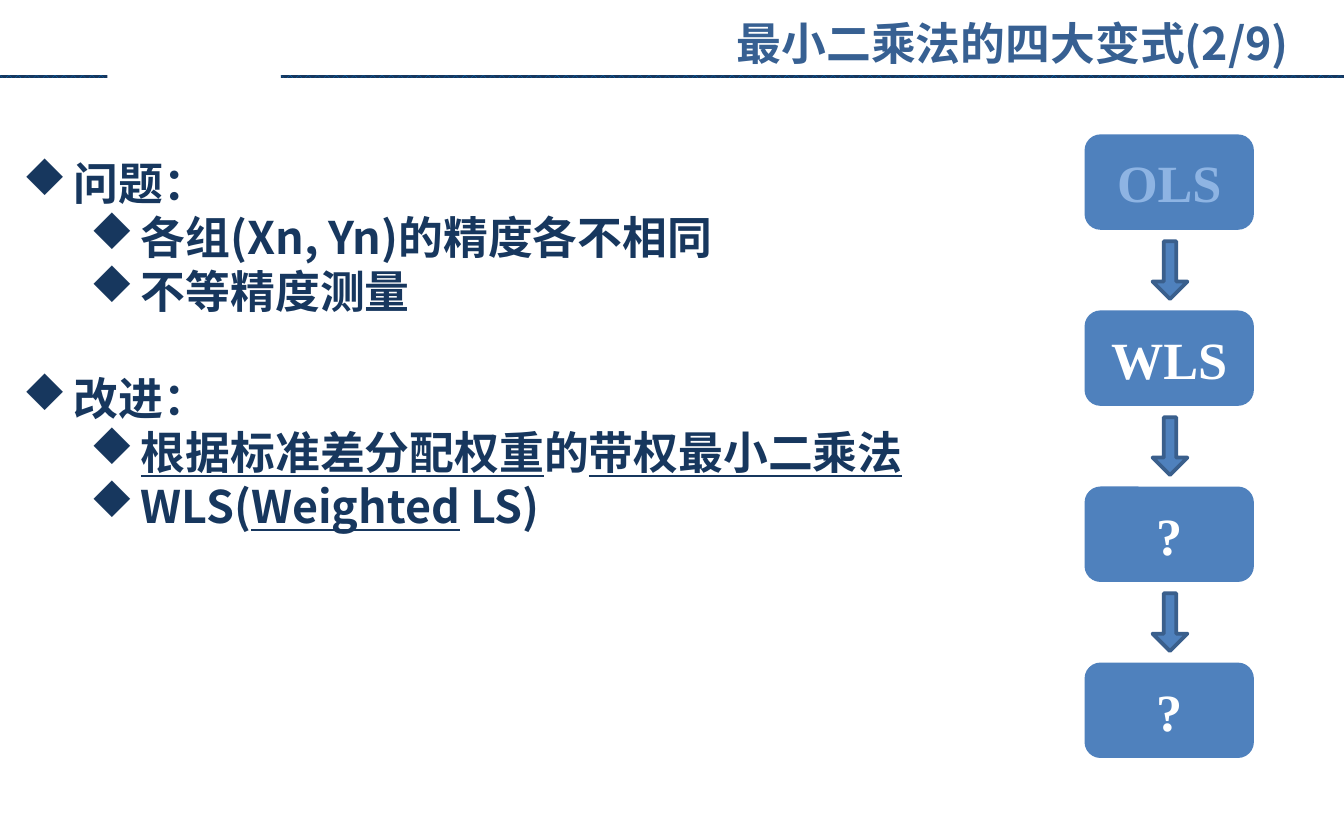
"""Build the slide on the variants of the least squares method."""
from lxml.etree import SubElement
from pptx import Presentation
from pptx.dml.color import RGBColor
from pptx.enum.dml import MSO_PATTERN
from pptx.enum.shapes import MSO_SHAPE
from pptx.enum.text import MSO_ANCHOR, MSO_AUTO_SIZE, PP_ALIGN
from pptx.oxml.ns import qn
from pptx.util import Inches, Pt

SANS = "Noto Sans CJK SC"
SERIF = "Times New Roman"
NAVY, BLUE, WHITE = "17375E", "4F81BD", "FFFFFF"
LINE_HEIGHT = 28.8


def color(value):
    return RGBColor.from_string(value)


def add_text(paragraph, text, font=SANS, size=24, fill=NAVY, underline=None):
    run = paragraph.add_run()
    run.text = text
    run.font.name = font
    run.font.size = Pt(size)
    run.font.bold = True
    run.font.underline = underline
    run.font.color.rgb = color(fill)
    SubElement(run.font._element, qn("a:ea")).set("typeface", font)


class SlideBuilder:
    def __init__(self, slide):
        self.slide = slide

    def shape(self, kind, left, top, width, height):
        shape = self.slide.shapes.add_shape(
            kind, Inches(left), Inches(top), Inches(width), Inches(height))
        shape.shadow.inherit = False
        shape.fill.solid()
        shape.fill.fore_color.rgb = color(BLUE)
        shape.line.fill.background()
        return shape

    def rule(self, left, width):
        shape = self.shape(MSO_SHAPE.RECTANGLE, left, 0.56, width, 0.02)
        shape.fill.patterned()
        shape.fill.pattern = MSO_PATTERN.PERCENT_50
        shape.fill.fore_color.rgb = color("0070C0")
        shape.fill.back_color.rgb = color(NAVY)

    def frame(self, shape):
        frame = shape.text_frame
        frame.word_wrap = True
        frame.auto_size = MSO_AUTO_SIZE.NONE
        frame.vertical_anchor = MSO_ANCHOR.TOP
        frame.margin_top = Inches(0.07)
        return frame

    def title(self, text):
        title = self.slide.shapes.title
        title.left, title.top = Inches(5.1), Inches(0.05)
        title.width, title.height = Inches(4.59), Inches(0.41)
        title.fill.solid()
        title.fill.fore_color.rgb = color(WHITE)
        paragraph = self.frame(title).paragraphs[0]
        paragraph.alignment = PP_ALIGN.RIGHT
        paragraph.line_spacing = Pt(LINE_HEIGHT)
        add_text(paragraph, text, fill="376092")

    def bullets(self, items):
        box = self.slide.shapes.add_textbox(
            Inches(0.07), Inches(1.09), Inches(7.33), Inches(2.93))
        frame = self.frame(box)
        for index, (level, parts) in enumerate(items):
            paragraph = frame.add_paragraph() if index else frame.paragraphs[0]
            paragraph.level = level
            paragraph.line_spacing = Pt(LINE_HEIGHT)
            if index and level == 0:
                paragraph.space_before = Pt(LINE_HEIGHT)
            properties = paragraph._p.get_or_add_pPr()
            properties.set("marL", str(Inches(0.38 + 0.5 * level)))
            properties.set("indent", str(Inches(-0.38)))
            SubElement(properties, qn("a:buFont")).set("typeface", "Wingdings")
            SubElement(properties, qn("a:buChar")).set("char", "u")
            for text, underline in parts:
                add_text(paragraph, text, underline=underline)

    def step(self, top, text, fill):
        shape = self.shape(MSO_SHAPE.ROUNDED_RECTANGLE, 8.07, top, 1.26, 0.71)
        shape.text_frame.vertical_anchor = MSO_ANCHOR.MIDDLE
        paragraph = shape.text_frame.paragraphs[0]
        paragraph.alignment = PP_ALIGN.CENTER
        add_text(paragraph, text, font=SERIF, size=28, fill=fill)

    def arrow(self, top):
        shape = self.shape(MSO_SHAPE.RIGHT_ARROW, 8.49, top, 0.43, 0.26)
        shape.rotation = 90
        shape.adjustments[0] = 0.357
        shape.adjustments[1] = 0.5
        shape.line.color.rgb = color("3A5F8C")
        shape.line.width = Pt(2)


def main():
    presentation = Presentation()
    presentation.slide_width = Inches(10)
    presentation.slide_height = Inches(6.25)
    builder = SlideBuilder(presentation.slides.add_slide(presentation.slide_layouts[5]))

    builder.rule(2.09, 7.91)
    builder.rule(0, 0.8)
    builder.title("最小二乘法的四大变式(2/9)")
    builder.bullets([
        (0, [("问题：", False)]),
        (1, [("各组(Xn, Yn)的精度各不相同", False)]),
        (1, [("不等精度测量", False)]),
        (0, [("改进：", False)]),
        (1, [("根据标准差分配权重", True), ("的", False), ("带权最小二乘法", True)]),
        (1, [("WLS(", False), ("Weighted", True), (" LS)", False)]),
    ])

    steps = [("OLS", "8EB4E3"), ("WLS", WHITE), ("?", WHITE), ("?", WHITE)]
    pitch = 1.31
    for index, (text, fill) in enumerate(steps):
        builder.step(1 + pitch * index, text, fill)
        if index < len(steps) - 1:
            builder.arrow(1.88 + pitch * index)

    presentation.save("out.pptx")


if __name__ == "__main__":
    main()
